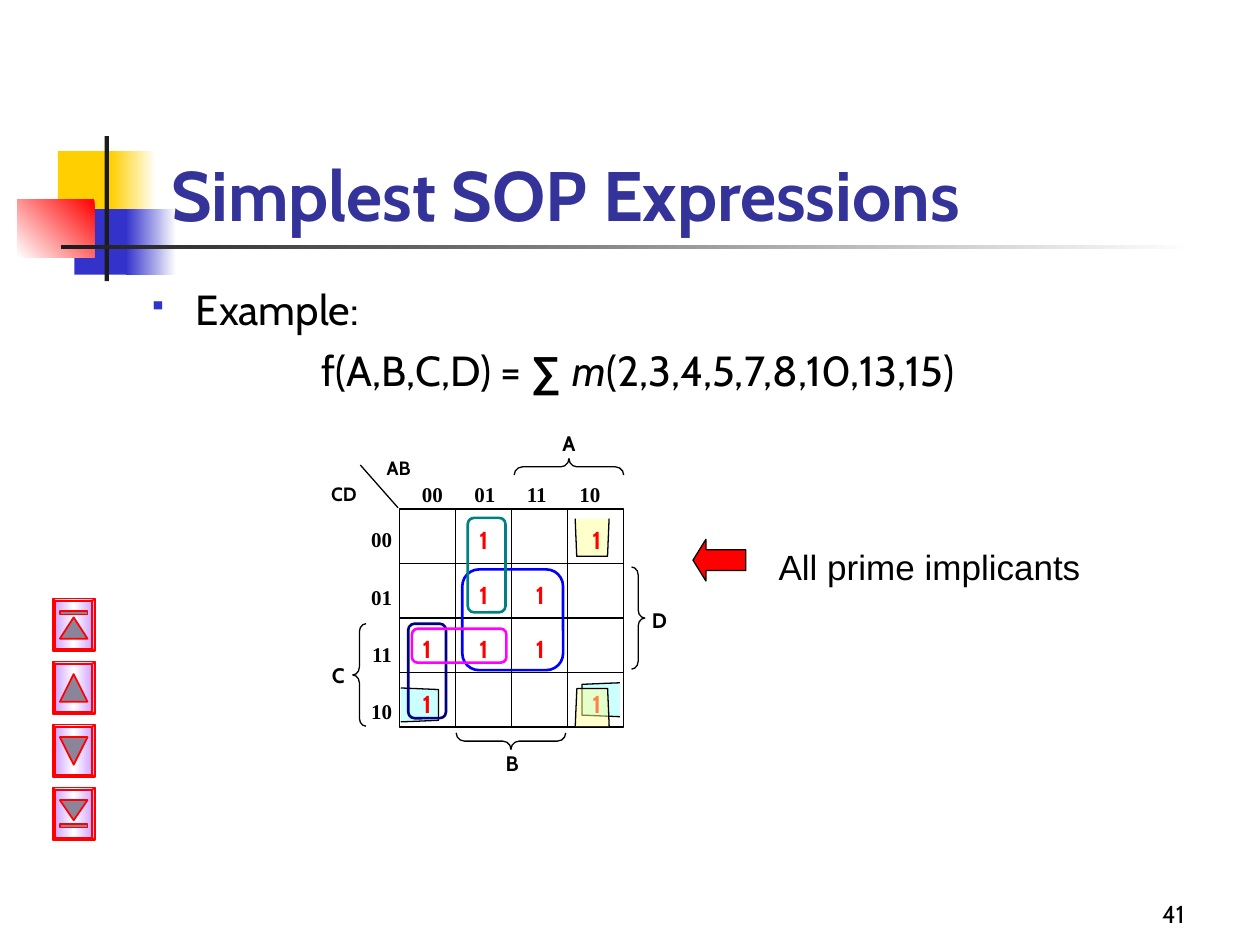
from typing import NamedTuple, Optional

from lxml.etree import SubElement
from pptx import Presentation
from pptx.dml.color import RGBColor
from pptx.enum.shapes import MSO_CONNECTOR as Connector, MSO_SHAPE as Preset
from pptx.enum.text import MSO_ANCHOR as Anchor, PP_ALIGN as Align
from pptx.oxml.ns import qn
from pptx.util import Pt

COLORS = {
    "black": "000000", "white": "FFFFFF", "charcoal": "1C1C1C", "title": "333399",
    "yellow": "FFCF01", "indigo": "3333CC", "red": "FF0000", "lilac": "CC99FF",
    "icon": "8C8499", "cream": "FFFF99", "ice": "CCFFFF", "blue": "0000FF",
    "navy": "000080", "teal": "008080", "magenta": "FF00FF",
}


class Box(NamedTuple):
    left: float
    top: float
    width: float
    height: float


class Style(NamedTuple):
    size: float
    font: str = "Cabin"
    color: str = "black"
    bold: bool = False
    italic: bool = False


class Gradient(NamedTuple):
    colors: tuple
    angle: int


class Figure(NamedTuple):
    preset: Preset
    box: Box
    fill: object = None
    line: Optional[str] = None
    line_width: float = 0.75
    rotation: float = 0
    adjustments: tuple = ()


class Tray(NamedTuple):
    left: float
    top: float
    rotation: float
    color: str
    alpha: int = 100


class Button(NamedTuple):
    icon_top: float
    icon_height: float
    points_down: bool
    bar_top: Optional[float] = None


MAP = Box(228.2, 290.9, 128.2, 124.6)
COLUMN, ROW = MAP.width / 4, MAP.height / 4
MINTERMS = [(1, 0), (3, 0), (1, 1), (2, 1), (0, 2), (1, 2), (2, 2), (0, 3), (3, 3)]
GRAY_CODE = ["00", "01", "11", "10"]

DECORATION = [
    Figure(Preset.RECTANGLE, Box(33.1, 86.4, 34.6, 37.4), "yellow"),
    Figure(Preset.RECTANGLE, Box(63.4, 86.4, 25.9, 37.4), Gradient(("white", "yellow"), 180)),
    Figure(Preset.RECTANGLE, Box(42.5, 119.5, 33.1, 37.4), "indigo"),
    Figure(Preset.RECTANGLE, Box(72, 119.5, 28.8, 37.4), Gradient(("white", "indigo"), 180)),
    Figure(Preset.RECTANGLE, Box(10, 113.8, 44, 33.1), Gradient(("red", "white"), 135)),
    Figure(Preset.RECTANGLE, Box(59.8, 77.8, 2.4, 82.8), "charcoal"),
    Figure(Preset.RECTANGLE, Box(34.6, 140, 648, 2.6), Gradient(("white", "charcoal"), 180)),
]
BRACES = [
    Figure(Preset.LEFT_BRACE, Box(201.6, 356.4, 7.6, 58.6), line="black", adjustments=(0.6,)),
    Figure(Preset.LEFT_BRACE, Box(320.4, 235.5, 9.4, 62.6), line="black", rotation=90,
           adjustments=(0.5,)),
    Figure(Preset.LEFT_BRACE, Box(287.3, 392.2, 9.4, 62.6), line="black", rotation=270,
           adjustments=(0.5,)),
    Figure(Preset.RIGHT_BRACE, Box(360.9, 324, 7.6, 58.4), line="black", adjustments=(0.6,)),
]
LOOPS = [
    Figure(Preset.ROUNDED_RECTANGLE, box, line=color, line_width=1.5, adjustments=(0.167,))
    for box, color in [
        (Box(264.2, 325.4, 57.6, 57.6), "blue"),
        (Box(233.3, 356.4, 21.6, 54), "navy"),
        (Box(267.3, 295.9, 21.6, 54), "teal"),
        (Box(235.4, 359.3, 54, 19.4), "magenta"),
    ]
]
TRAYS_BEHIND = [Tray(327.6, 297.4, 270, "cream", 50), Tray(332.6, 390.2, 0, "ice"),
                Tray(229, 393.1, 180, "ice")]
TRAY_IN_FRONT = Tray(327.6, 394.6, 90, "cream", 50)
BUTTONS = [Button(10.8, 12.2, False, 7.2), Button(7.2, 15.8, False),
           Button(7.2, 15.8, True), Button(7.2, 11.5, True, 20.9)]
VARIABLES = [("A", Box(313.2, 242.6, 23.8, 19.4), 12), ("B", Box(280.8, 425.5, 23.8, 18.7), 12),
             ("C", Box(181.4, 375.1, 23.8, 25.2), 12), ("D", Box(365, 343.4, 23.8, 25.2), 12),
             ("CD", Box(174.2, 272.2, 44.6, 20.9), 11), ("AB", Box(209.5, 257, 36.7, 20.9), 11)]


def rgb(name: str) -> RGBColor:
    return RGBColor.from_string(COLORS[name])


def paint(shape, fill, line: Optional[str], line_width: float) -> None:
    shape.shadow.inherit = False
    if fill is None:
        shape.fill.background()
    elif isinstance(fill, Gradient):
        shape.fill.gradient()
        gradient = shape._element.spPr.find(qn("a:gradFill"))
        for child in list(gradient):
            gradient.remove(child)
        stops = SubElement(gradient, qn("a:gsLst"))
        for index, name in enumerate(fill.colors):
            position = index * 100000 // (len(fill.colors) - 1)
            stop = SubElement(stops, qn("a:gs"), pos=str(position))
            SubElement(stop, qn("a:srgbClr"), val=COLORS[name])
        SubElement(gradient, qn("a:lin"), ang=str(fill.angle * 60000), scaled="0")
    else:
        shape.fill.solid()
        shape.fill.fore_color.rgb = rgb(fill)
    if line:
        shape.line.color.rgb = rgb(line)
        shape.line.width = Pt(line_width)
    else:
        shape.line.fill.background()


def draw_figure(slide, figure: Figure) -> None:
    shape = slide.shapes.add_shape(figure.preset, *map(Pt, figure.box))
    shape.rotation = figure.rotation
    for index, value in enumerate(figure.adjustments):
        shape.adjustments[index] = value
    paint(shape, figure.fill, figure.line, figure.line_width)


def draw_tray(slide, tray: Tray) -> None:
    """Draw a three-sided loop, open to the right before it is rotated."""
    width, height, lip = 21.6, 19.4, 0.9
    steps = [index / 8 for index in range(9)]
    upper = [(width * (1 - t) ** 2, lip * t * (2 - t)) for t in steps]
    lower = [(x, height - y) for x, y in reversed(upper)]
    points = [(Pt(tray.left + x), Pt(tray.top + y)) for x, y in upper + lower]
    builder = slide.shapes.build_freeform(*points[0])
    builder.add_line_segments(points[1:], close=False)
    shape = builder.convert_to_shape()
    shape.rotation = tray.rotation
    paint(shape, tray.color, "black", 0.75)
    if tray.alpha < 100:
        color = shape._element.spPr.find(qn("a:solidFill"))[0]
        SubElement(color, qn("a:alpha"), val=str(tray.alpha * 1000))


def draw_line(slide, x1: float, y1: float, x2: float, y2: float) -> None:
    line = slide.shapes.add_connector(Connector.STRAIGHT, Pt(x1), Pt(y1), Pt(x2), Pt(y2))
    line.line.color.rgb = rgb("black")
    line.line.width = Pt(0.75)
    SubElement(line._element.spPr, qn("a:effectLst"))


def style_run(run, style: Style) -> None:
    font = run.font
    font.size, font.name = Pt(style.size), style.font
    font.bold, font.italic = style.bold, style.italic
    font.color.rgb = rgb(style.color)


def add_text(slide, box: Box, text: str, style: Style, align=Align.LEFT, anchor=Anchor.TOP):
    frame = slide.shapes.add_textbox(*map(Pt, box)).text_frame
    frame.word_wrap = True
    frame.vertical_anchor = anchor
    frame.text = text
    for paragraph in frame.paragraphs:
        paragraph.alignment = align
        for run in paragraph.runs:
            style_run(run, style)
    return frame


def draw_body(slide) -> None:
    plain = Style(24)
    frame = add_text(slide, Box(77.8, 158.4, 624.2, 77.8), "Example:", plain)
    bullet = frame.paragraphs[0]._p.get_or_add_pPr()
    bullet.set("marL", str(Pt(27)))
    bullet.set("indent", str(Pt(-27)))
    SubElement(SubElement(bullet, qn("a:buClr")), qn("a:srgbClr"), val=COLORS["indigo"])
    SubElement(bullet, qn("a:buSzPct"), val="60000")
    SubElement(bullet, qn("a:buChar"), char="▪")
    formula = frame.add_paragraph()
    formula.space_before = Pt(6)
    formula._p.get_or_add_pPr().set("marL", str(Pt(99)))
    for text, style in [("f(A,B,C,D) = ", plain), ("∑ ", Style(24, "Arial", bold=True)),
                        ("m", Style(24, italic=True)), ("(2,3,4,5,7,8,10,13,15)", plain)]:
        run = formula.add_run()
        run.text = text
        style_run(run, style)


def draw_map(slide) -> None:
    for tray in TRAYS_BEHIND:
        draw_tray(slide, tray)
    draw_figure(slide, Figure(Preset.RECTANGLE, MAP, line="black"))
    for index in range(1, 4):
        x, y = MAP.left + index * COLUMN, MAP.top + index * ROW
        draw_line(slide, x, MAP.top, x, MAP.top + MAP.height)
        draw_line(slide, MAP.left, y, MAP.left + MAP.width, y)
    draw_line(slide, 227.5, 290.2, 205.9, 265.7)
    code = Style(12, "Times New Roman", bold=True)
    header = add_text(slide, Box(234, 271.4, 119.5, 25.2), "\t".join(GRAY_CODE), code)
    tabs = SubElement(header.paragraphs[0]._p.get_or_add_pPr(), qn("a:tabLst"))
    for index in range(1, 4):
        SubElement(tabs, qn("a:tab"), pos=str(Pt(30 * index)), algn="l")
    rows = add_text(slide, Box(203, 297.4, 28.1, 128.9), "\n".join(GRAY_CODE), code, Align.RIGHT)
    for paragraph in rows.paragraphs:
        paragraph.space_after = Pt(18.4)
    for text, box, size in VARIABLES:
        add_text(slide, box, text, Style(size, bold=True), Align.CENTER)
    for column, row in MINTERMS:
        box = Box(MAP.left + column * 32.3, MAP.top + 5.7 + row * ROW, 31.7, 25.2)
        add_text(slide, box, "1", Style(14, color="red", bold=True), Align.CENTER)
    for figure in BRACES + LOOPS:
        draw_figure(slide, figure)
    draw_tray(slide, TRAY_IN_FRONT)


def draw_button(slide, button: Button, top: float) -> None:
    face = Gradient(("lilac", "white", "lilac"), 90)
    draw_figure(slide, Figure(Preset.BEVEL, Box(27, top + 3.1, 30.2, 24), face, "red", 1, 90, (0.06,)))
    draw_figure(slide, Figure(Preset.ISOSCELES_TRIANGLE,
                              Box(34.2, top + button.icon_top, 15.8, button.icon_height),
                              "icon", "red", 1, 180 if button.points_down else 0))
    if button.bar_top is not None:
        draw_figure(slide, Figure(Preset.RECTANGLE, Box(34.2, top + button.bar_top, 15.8, 2),
                                  "icon", "red", 1))


def main() -> None:
    presentation = Presentation()
    presentation.slide_width, presentation.slide_height = Pt(720), Pt(540)
    slide = presentation.slides.add_slide(presentation.slide_layouts[6])
    for figure in DECORATION:
        draw_figure(slide, figure)
    add_text(slide, Box(90.7, 48.2, 613.4, 90), "Simplest SOP Expressions",
             Style(40, color="title", bold=True), anchor=Anchor.BOTTOM)
    draw_body(slide)
    add_text(slide, Box(437.8, 308.2, 198, 31.7), "All prime implicants", Style(20, "Arial"))
    draw_figure(slide, Figure(Preset.LEFT_ARROW, Box(396, 308.2, 30.2, 23.8), "red", "black",
                              adjustments=(0.5, 0.31)))
    draw_map(slide)
    for index, button in enumerate(BUTTONS):
        draw_button(slide, button, 342 + 36 * index)
    add_text(slide, Box(534.2, 498.2, 149.8, 36), "41", Style(14), Align.RIGHT, Anchor.BOTTOM)
    presentation.save("out.pptx")


if __name__ == "__main__":
    main()
